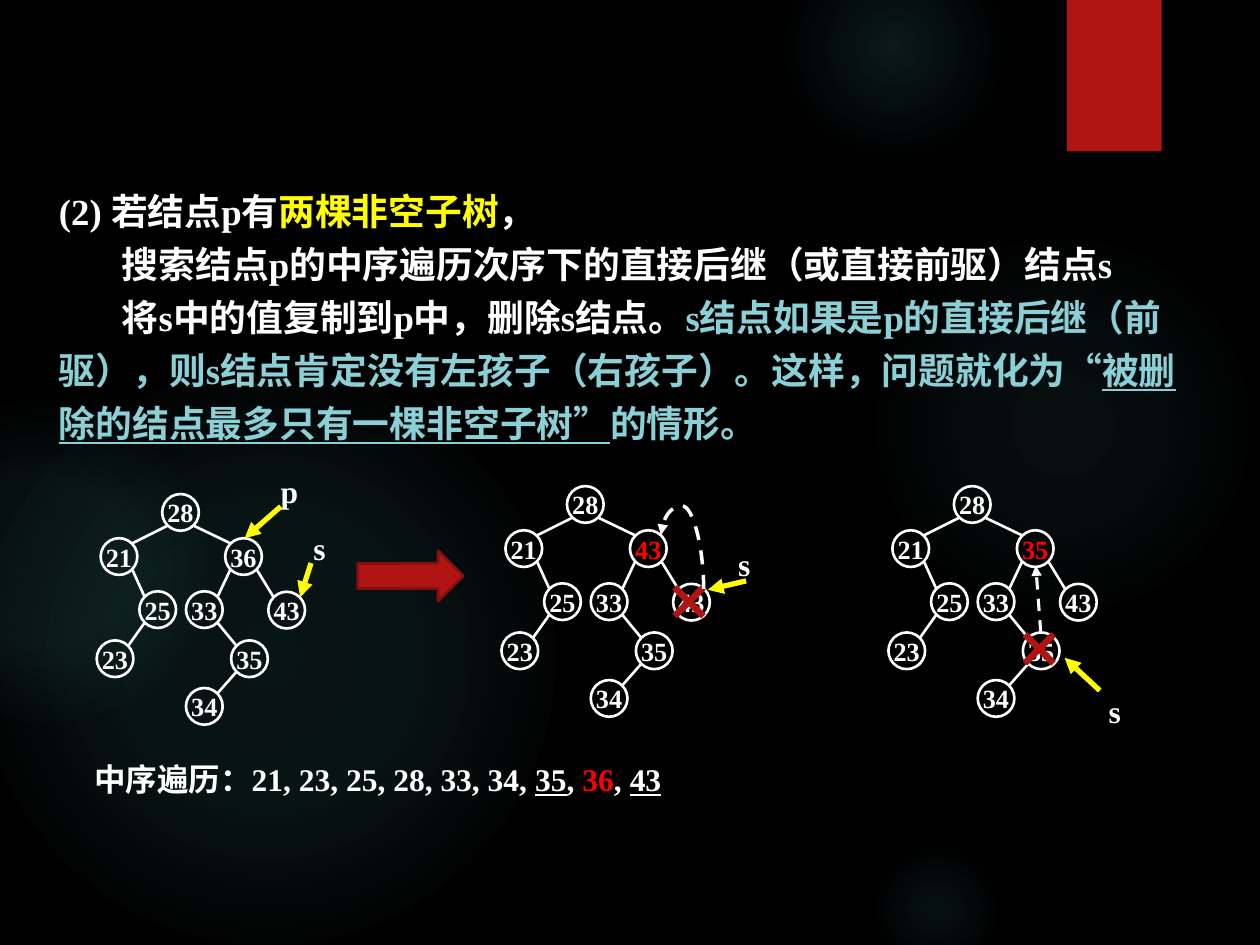
"""Build the slide on deleting a binary search tree node that has two subtrees."""
from lxml.etree import SubElement
from pptx import Presentation
from pptx.dml.color import RGBColor
from pptx.enum.dml import MSO_LINE
from pptx.enum.shapes import MSO_CONNECTOR as CONN, MSO_SHAPE as SHAPE
from pptx.enum.text import MSO_ANCHOR, PP_ALIGN
from pptx.oxml.ns import qn
from pptx.util import Cm, Pt

FONT = "Times New Roman"
WHITE, YELLOW, RED, BRICK, TEAL = "FFFFFF", "FFFF00", "FF0000", "B01513", "8AD0D6"

GLOWS = [
    (17.5, 4.65, 7.82, [(0, 7), (36, 6), (69, 0)]),
    (15.8, -1.27, 4.45, [(0, 14), (36, 7), (73, 0)]),
    (17.5, 16.94, 2.74, [(0, 9), (36, 5), (66, 0)]),
    (-0.43, 7.42, 11.63, [(0, 11), (36, 10), (75, 0)]),
    (-2.34, 8.05, 6.55, [(0, 8), (36, 8), (72, 0)]),
]
BODY = [
    (0, [("(2) 若结点p有", WHITE, False), ("两棵非空子树", YELLOW, False), ("，", WHITE, False)]),
    (1.27, [("搜索结点p的中序遍历次序下的直接后继（或直接前驱）结点s", WHITE, False)]),
    (1.27, [("将s中的值复制到p中，删除s结点。", WHITE, False),
            ("s结点如果是p的直接后继（前驱），则s结点肯定没有左孩子（右孩子）。这样，问题就化为“", TEAL, False),
            ("被删除的结点最多只有一棵非空子树”", TEAL, True),
            ("的情形。", TEAL, False)]),
]
TRAVERSAL = [(0, [
    ("中序遍历：21, 23, 25, 28, 33, 34, ", WHITE, False), ("35", WHITE, True),
    (", ", WHITE, False), ("36", RED, False), (", ", WHITE, False), ("43", WHITE, True),
])]
NODES = {
    "28": (0, 0), "21": (-1.24, 0.89), "p": (1.27, 0.89), "25": (-0.46, 1.96),
    "33": (0.48, 1.96), "43": (2.14, 1.97), "23": (-1.32, 2.95),
    "35": (1.39, 2.95), "34": (0.48, 3.91),
}
EDGES = [("28", "21"), ("28", "p"), ("p", "33"), ("p", "43"),
         ("21", "25"), ("25", "23"), ("33", "35"), ("35", "34")]
TREES = [(3.64, 10.33, "36", WHITE), (11.8, 10.17, "43", RED), (19.6, 10.17, "35", RED)]
DIAMETER, REACH = 0.74, 0.27
LABELS = [("p", 5.41, 9.4), ("s", 6.07, 10.54), ("s", 14.63, 10.87), ("s", 22.1, 13.82)]
POINTERS = [(5.66, 10.21, 4.93, 10.85), (6.27, 11.35, 6.05, 12.04),
            (15.04, 11.71, 14.27, 11.89), (22.17, 13.92, 21.46, 13.26)]
CROSSES = [(13.89, 12.13), (20.95, 13.08)]
ARM = 0.29


def rgb(color):
    return RGBColor.from_string(color)


def add_runs(p, runs, size):
    for text, color, underline in runs:
        r = p.add_run()
        r.text = text
        f = r.font
        f.name, f.size, f.bold = FONT, Pt(size), True
        f.color.rgb = rgb(color)
        if underline:
            f.underline = True


def add_text(shapes, x, y, w, h, paras, size, spacing=1.0):
    tf = shapes.add_textbox(Cm(x), Cm(y), Cm(w), Cm(h)).text_frame
    tf.word_wrap = True
    for i, (indent, runs) in enumerate(paras):
        p = tf.add_paragraph() if i else tf.paragraphs[0]
        p.line_spacing = spacing
        p._p.get_or_add_pPr().set("indent", str(Cm(indent)))
        add_runs(p, runs, size)


def add_shape(shapes, kind, x, y, w, h, fill=None, line=None):
    sp = shapes.add_shape(kind, Cm(x), Cm(y), Cm(w), Cm(h))
    sp.shadow.inherit = False
    if fill:
        sp.fill.solid()
        sp.fill.fore_color.rgb = rgb(fill)
    else:
        sp.fill.background()
    if line:
        sp.line.color.rgb = rgb(line)
        sp.line.width = Pt(1.5)
    else:
        sp.line.fill.background()
    return sp


def add_line(shapes, x1, y1, x2, y2, color, width, arrow=False, dash=False, kind=CONN.STRAIGHT):
    cx = shapes.add_connector(kind, Cm(x1), Cm(y1), Cm(x2), Cm(y2))
    cx.line.color.rgb = rgb(color)
    cx.line.width = Pt(width)
    if dash:
        cx.line.dash_style = MSO_LINE.DASH
    if arrow:
        SubElement(cx.line._get_or_add_ln(), qn("a:tailEnd"), type="triangle")
    SubElement(cx._element.spPr, qn("a:effectLst"))
    return cx


def add_glow(shapes, x, y, d, stops):
    spPr = add_shape(shapes, SHAPE.OVAL, x, y, d, d)._element.spPr
    grad = SubElement(spPr, qn("a:gradFill"))
    gs_list = SubElement(grad, qn("a:gsLst"))
    for pos, alpha in stops:
        gs = SubElement(gs_list, qn("a:gs"), pos=str(pos * 1000))
        clr = SubElement(gs, qn("a:srgbClr"), val="50B9C1")
        SubElement(clr, qn("a:alpha"), val=str(alpha * 1000))
    shade = SubElement(grad, qn("a:path"), path="circle")
    SubElement(shade, qn("a:fillToRect"), l="50000", t="50000", r="50000", b="50000")
    spPr.replace(spPr.find(qn("a:noFill")), grad)


def add_tree(shapes, x, y, p_value, p_color):
    group = shapes.add_group_shape().shapes
    for name, (dx, dy) in NODES.items():
        value, color = (p_value, p_color) if name == "p" else (name, WHITE)
        left, top = x + dx - DIAMETER / 2, y + dy - DIAMETER / 2
        tf = add_shape(group, SHAPE.OVAL, left, top, DIAMETER, DIAMETER, line=WHITE).text_frame
        tf.word_wrap = False
        tf.vertical_anchor = MSO_ANCHOR.MIDDLE
        tf.margin_left = tf.margin_right = Cm(0.18)
        tf.margin_top = tf.margin_bottom = Cm(0.1)
        tf.paragraphs[0].alignment = PP_ALIGN.CENTER
        add_runs(tf.paragraphs[0], [(value, color, False)], 15)
    for parent, child in EDGES:
        (px, py), (cx, cy) = NODES[parent], NODES[child]
        side = REACH if cx > px else -REACH
        add_line(group, x + px + side, y + py + REACH, x + cx - side, y + cy - REACH, WHITE, 1.5)


def add_copy_arc(shapes):
    arc = add_line(shapes, 13.21, 10.9, 14.3, 11.76, WHITE, 2, True, True, CONN.CURVE)
    spPr = arc._element.spPr
    xfrm = spPr.find(qn("a:xfrm"))
    xfrm.set("rot", "16200000")
    xfrm.set("flipV", "1")
    guides = spPr.find(qn("a:prstGeom")).find(qn("a:avLst"))
    SubElement(guides, qn("a:gd"), name="adj1", fmla="val 153500")


def main():
    prs = Presentation()
    prs.slide_width, prs.slide_height = Cm(25.4), Cm(19.05)
    s = prs.slides.add_slide(prs.slide_layouts[6])
    s.background.fill.solid()
    s.background.fill.fore_color.rgb = rgb("000000")
    shapes = s.shapes
    for glow in GLOWS:
        add_glow(shapes, *glow)
    add_shape(shapes, SHAPE.RECTANGLE, 21.51, 0, 1.91, 3.05, BRICK)
    add_text(shapes, 0.94, 3.51, 23.24, 5.64, BODY, 21, 1.2)
    for tree in TREES:
        add_tree(shapes, *tree)
    add_shape(shapes, SHAPE.RIGHT_ARROW, 7.21, 11.1, 2.13, 1.02, BRICK, "82100E")
    for text, x, y in LABELS:
        add_text(shapes, x, y, 0.91, 1.02, [(0, [(text, WHITE, False)])], 18)
    for pointer in POINTERS:
        add_line(shapes, *pointer, YELLOW, 3, arrow=True)
    for x, y in CROSSES:
        for rise in (ARM, -ARM):
            add_line(shapes, x - ARM, y - rise, x + ARM, y + rise, BRICK, 3.75)
    add_text(shapes, 1.65, 15.19, 12.06, 1.02, TRAVERSAL, 18)
    add_copy_arc(shapes)
    add_line(shapes, 20.98, 12.75, 20.88, 11.4, WHITE, 1.75, arrow=True, dash=True)
    prs.save("out.pptx")


if __name__ == "__main__":
    main()
